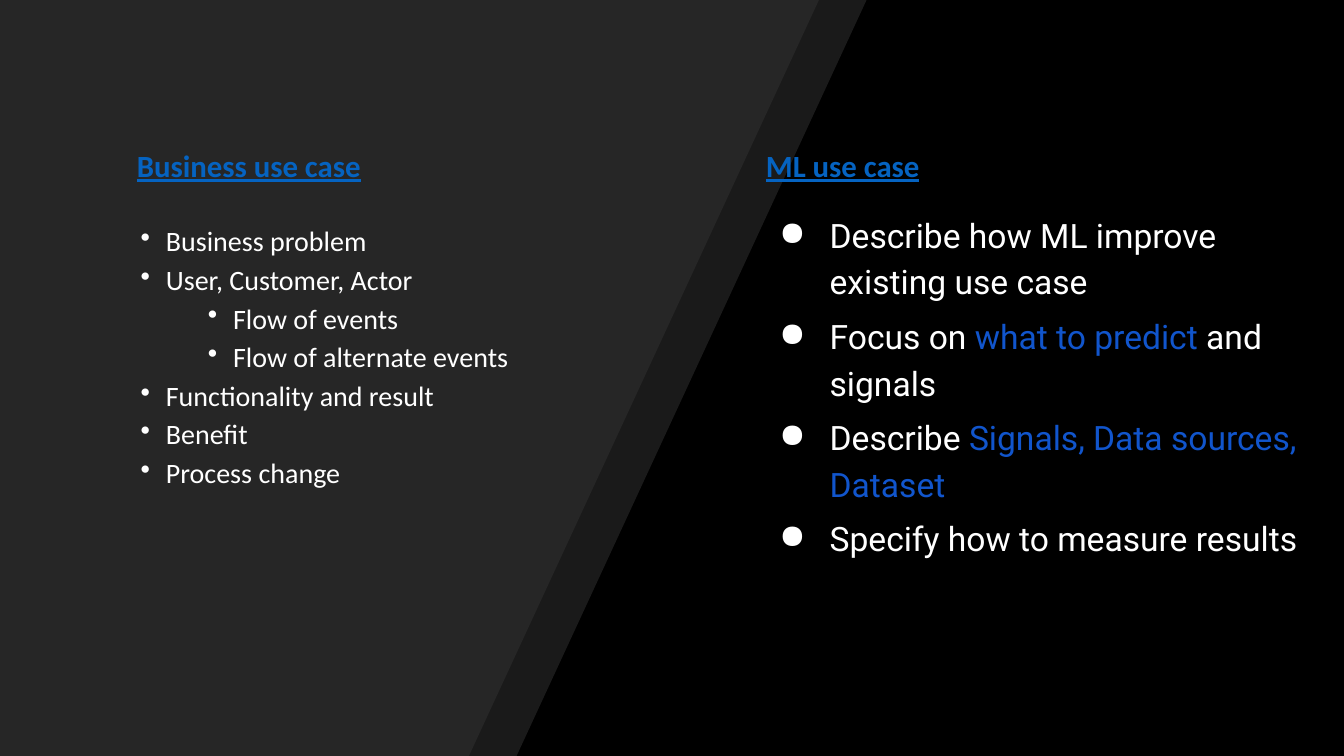
from lxml import etree
from pptx import Presentation
from pptx.dml.color import RGBColor
from pptx.enum import text
from pptx.oxml import ns
from pptx.util import Pt

BLACK = RGBColor(0x00, 0x00, 0x00)
CHARCOAL = RGBColor(0x26, 0x26, 0x26)
WHITE = RGBColor(0xFF, 0xFF, 0xFF)
HEADING_BLUE = RGBColor(0x05, 0x63, 0xC1)
ACCENT_BLUE = RGBColor(0x11, 0x55, 0xCC)

PAGE_WIDTH, PAGE_HEIGHT = 960, 540

BUSINESS_POINTS = [
    (0, "Business problem"),
    (0, "User, Customer, Actor"),
    (1, "Flow of events"),
    (1, "Flow of alternate events"),
    (0, "Functionality and result"),
    (0, "Benefit"),
    (0, "Process change"),
]
ML_POINTS = [
    [("Describe how ML improve existing use case", WHITE)],
    [("Focus on ", WHITE), ("what to predict ", ACCENT_BLUE), ("and signals", WHITE)],
    [("Describe ", WHITE), ("Signals, Data sources, Dataset", ACCENT_BLUE)],
    [("Specify how to measure results", WHITE)],
]


def add_child(parent, tag, **attributes):
    return etree.SubElement(parent, ns.qn(tag), attributes)


def add_slanted_panel(page, top_width, bottom_width, opacity=100):
    builder = page.shapes.build_freeform(0, 0, scale=Pt(1))
    builder.add_line_segments(
        [(top_width, 0), (bottom_width, PAGE_HEIGHT), (0, PAGE_HEIGHT)], close=True
    )
    panel = builder.convert_to_shape()
    panel.shadow.inherit = False
    panel.fill.solid()
    panel.fill.fore_color.rgb = CHARCOAL
    panel.line.fill.background()
    if opacity < 100:
        color = panel.fill._xPr.find(ns.qn("a:solidFill"))[0]
        add_child(color, "a:alpha", val=str(opacity * 1000))


def add_text_box(page, left, top, width, height, side_inset=7.2, end_inset=3.6):
    box = page.shapes.add_textbox(Pt(left), Pt(top), Pt(width), Pt(height))
    frame = box.text_frame
    frame.word_wrap = True
    frame.margin_left = frame.margin_right = Pt(side_inset)
    frame.margin_top = frame.margin_bottom = Pt(end_inset)
    return frame


def style_span(span, font, size, color):
    span.font.name = font
    span.font.size = Pt(size)
    span.font.color.rgb = color


def add_heading(page, left, wording):
    frame = add_text_box(page, left, 101.5, 190.8, 33.8)
    frame.auto_size = text.MSO_AUTO_SIZE.SHAPE_TO_FIT_TEXT
    frame.text = wording
    span = frame.paragraphs[0].runs[0]
    style_span(span, "Calibri", 22, HEADING_BLUE)
    span.font.bold = True
    span.font.underline = True


def add_bullet(para, symbol, hanging):
    properties = para._p.get_or_add_pPr()
    properties.set("marL", str(Pt(48 * (para.level + 1))))
    properties.set("indent", str(-Pt(hanging)))
    color = add_child(properties, "a:buClr")
    add_child(color, "a:srgbClr", val=str(WHITE))
    add_child(properties, "a:buChar", char=symbol)


def add_bullet_list(frame, points, symbol, hanging, spacing, font, size):
    for index, (level, spans) in enumerate(points):
        para = frame.add_paragraph() if index else frame.paragraphs[0]
        para.level = level
        add_bullet(para, symbol, hanging)
        para.line_spacing = spacing
        para.space_before = Pt(6 if index else 0)
        for wording, color in spans:
            span = para.add_run()
            span.text = wording
            style_span(span, font, size, color)


def main():
    deck = Presentation()
    deck.slide_width, deck.slide_height = Pt(PAGE_WIDTH), Pt(PAGE_HEIGHT)
    page = deck.slides.add_slide(deck.slide_layouts[6])
    page.background.fill.solid()
    page.background.fill.fore_color.rgb = BLACK

    add_slanted_panel(page, 619, 369, opacity=69)
    add_slanted_panel(page, 585, 335)

    business = add_text_box(page, 63.4, 159, 310.3, 327)
    business_points = [(level, [(wording, WHITE)]) for level, wording in BUSINESS_POINTS]
    add_bullet_list(business, business_points, "•", 18, 0.9, "Calibri", 20)

    learning = add_text_box(page, 535, 139.7, 411, 400.3, 9.6, 9.6)
    learning_points = [(0, spans) for spans in ML_POINTS]
    add_bullet_list(learning, learning_points, "●", 36, 1.15, "Roboto", 24)

    add_heading(page, 90.7, "Business use case")
    add_heading(page, 540, "ML use case")
    deck.save("out.pptx")


if __name__ == "__main__":
    main()
